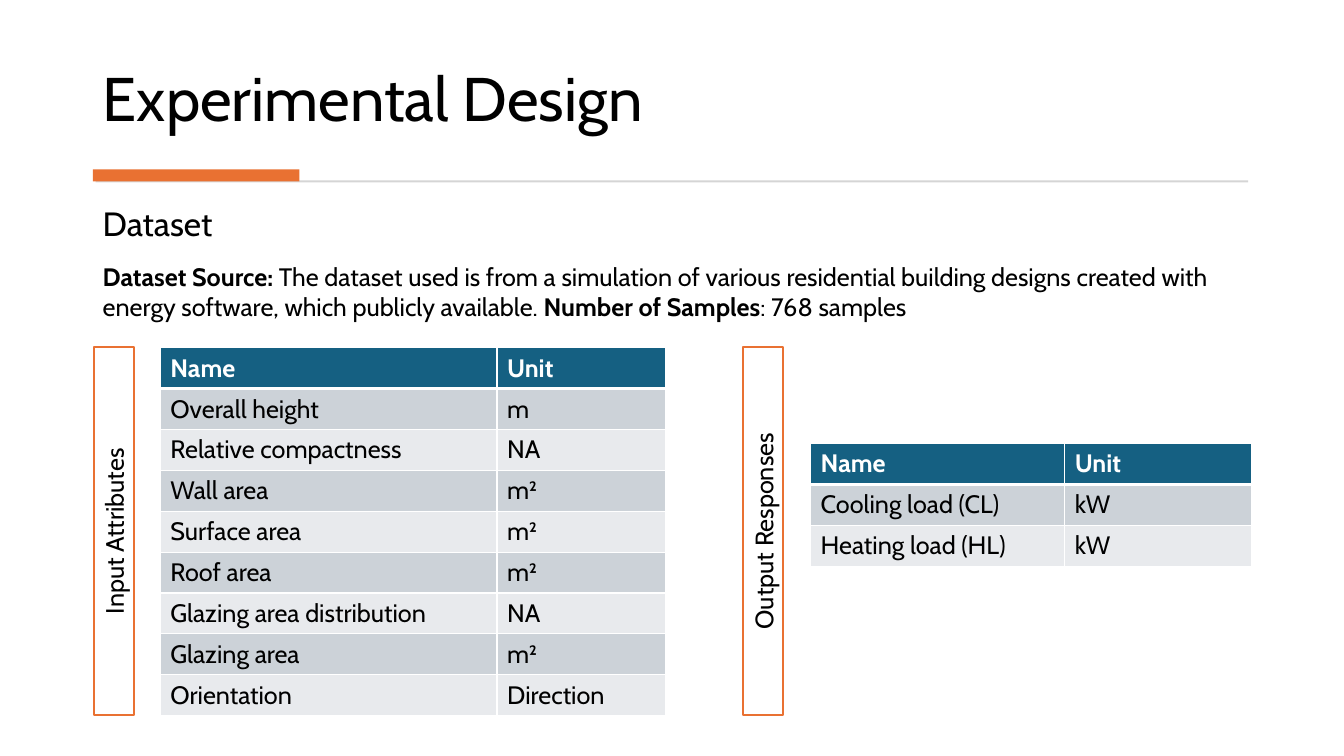
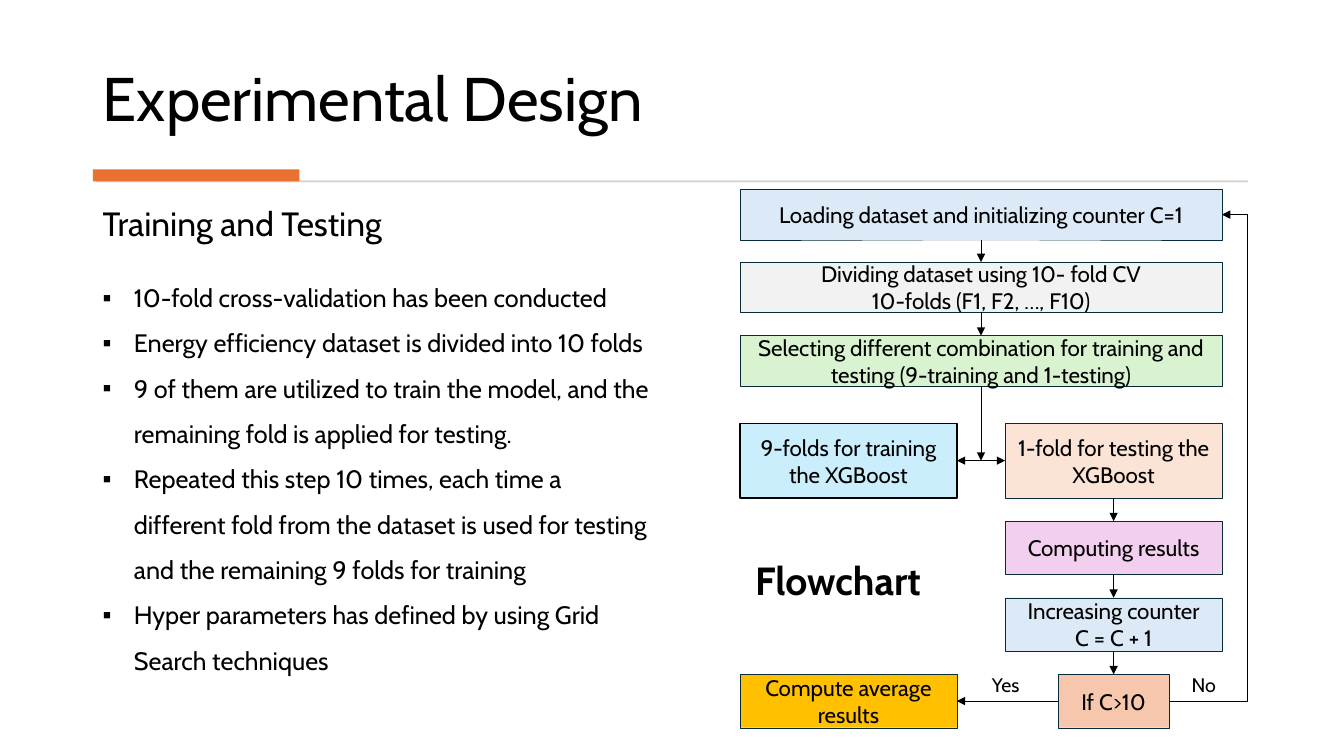
import lxml.etree
import pptx
import pptx.dml.color
import pptx.enum.shapes
import pptx.enum.text
import pptx.oxml.ns
import pptx.util

Inches = pptx.util.Inches
Pt = pptx.util.Pt
qn = pptx.oxml.ns.qn
ALIGN = pptx.enum.text.PP_ALIGN
ANCHOR = pptx.enum.text.MSO_ANCHOR
CONNECTOR = pptx.enum.shapes.MSO_CONNECTOR
TOP, LEFT, BOTTOM, RIGHT = range(4)


class Theme:
    font = "Cabin"
    black, white = "000000", "FFFFFF"
    accent, rule = "E97132", "D5D5D5"
    header, bands = "156082", ("CCD2D8", "E8EAED")
    outline = "092A39"
    title, flowchart, subtitle, body, step, label = 44, 28, 24, 18, 16, 14
    hairline, frame = 0.25, 1.5
    margin, content_width = 0.92, 11.49


TITLE = "Experimental Design"
DATASET = [
    ("Dataset Source: ", True),
    ("The dataset used is from a simulation of various residential building designs "
     "created with energy software, which publicly available. ", False),
    ("Number of Samples", True),
    (": 768 samples", False),
]
INPUTS = [
    ("Name", "Unit"),
    ("Overall height", "m"),
    ("Relative compactness", "NA"),
    ("Wall area", "m²"),
    ("Surface area", "m²"),
    ("Roof area", "m²"),
    ("Glazing area distribution", "NA"),
    ("Glazing area", "m²"),
    ("Orientation", "Direction"),
]
OUTPUTS = [("Name", "Unit"), ("Cooling load (CL)", "kW"), ("Heating load (HL)", "kW")]
VARIABLES = [
    ("Input Attributes", 1.13, INPUTS, 1.59, 3.45, (3.34, 1.67)),
    ("Output Responses", 7.57, OUTPUTS, 8.04, 4.4, (2.52, 1.85)),
]
ROW_HEIGHT = 3.65 / len(INPUTS)

TRAINING = [
    "10-fold cross-validation has been conducted",
    "Energy efficiency dataset is divided into 10 folds",
    "9 of them are utilized to train the model, and the remaining fold is applied for testing.",
    "Repeated this step 10 times, each time a different fold from the dataset is used "
    "for testing and the remaining 9 folds for training",
    "Hyper parameters has defined by using Grid Search techniques",
]

FLOW_LEFT, FLOW_WIDTH, BRANCH_WIDTH, DECISION_WIDTH = 7.34, 4.78, 2.15, 1.1
FLOW_CENTER = FLOW_LEFT + FLOW_WIDTH / 2
FLOW_RIGHT = FLOW_LEFT + FLOW_WIDTH
TRAIN_CENTER = FLOW_LEFT + BRANCH_WIDTH / 2
TEST_CENTER = FLOW_RIGHT - BRANCH_WIDTH / 2
WIDE = (FLOW_CENTER, FLOW_WIDTH)
TRAIN = (TRAIN_CENTER, BRANCH_WIDTH)
TEST = (TEST_CENTER, BRANCH_WIDTH)
DECISION = (TEST_CENTER, DECISION_WIDTH)
STEPS = {
    "load": ("Loading dataset and initializing counter C=1", WIDE, 1.88, 0.5, "DCEAF7"),
    "divide": ("Dividing dataset using 10- fold CV\n10-folds (F1, F2, …, F10)",
               WIDE, 2.6, 0.5, "F2F2F2"),
    "select": ("Selecting different combination for training and testing "
               "(9-training and 1-testing)", WIDE, 3.33, 0.5, "D9F2D0"),
    "train": ("9-folds for training the XGBoost", TRAIN, 4.2, 0.74, "CAEEFB"),
    "test": ("1-fold for testing the XGBoost", TEST, 4.2, 0.74, "FBE3D6"),
    "compute": ("Computing results", TEST, 5.17, 0.53, "F2CFEE"),
    "increase": ("Increasing counter\nC = C + 1", TEST, 5.93, 0.53, "DCEAF7"),
    "decide": ("If C>10", DECISION, 6.69, 0.53, "F6C6AD"),
    "average": ("Compute average results", TRAIN, 6.69, 0.53, "FFC000"),
}
ARROWS = [
    ("load", BOTTOM, "divide", TOP, False),
    ("divide", BOTTOM, "select", TOP, False),
    ("train", RIGHT, "test", LEFT, True),
    ("test", BOTTOM, "compute", TOP, False),
    ("compute", BOTTOM, "increase", TOP, False),
    ("increase", BOTTOM, "decide", TOP, False),
    ("decide", LEFT, "average", RIGHT, False),
]
LOOP_REACH = 0.25
BRANCH_LABELS = [("Yes", 9.74, 0.49), ("No", 11.72, 0.45)]


def rgb(code):
    return pptx.dml.color.RGBColor.from_string(code)


def style_run(run, size, color=Theme.black, bold=False):
    run.font.name = Theme.font
    run.font.size = Pt(size)
    run.font.bold = bold
    run.font.color.rgb = rgb(color)


def fill_text(frame, text, size, color=Theme.black, bold=False, align=ALIGN.LEFT):
    frame.text = text
    for paragraph in frame.paragraphs:
        paragraph.alignment = align
        for run in paragraph.runs:
            style_run(run, size, color, bold)


def add_text(slide, box, text, size, bold=False, wrap=True):
    frame = slide.shapes.add_textbox(*map(Inches, box)).text_frame
    frame.word_wrap = wrap
    fill_text(frame, text, size, bold=bold)
    return frame


def add_box(slide, box, fill, outline=None, weight=Theme.hairline):
    shape = slide.shapes.add_shape(
        pptx.enum.shapes.MSO_SHAPE.RECTANGLE, *map(Inches, box))
    shape.shadow.inherit = False
    shape.fill.solid()
    shape.fill.fore_color.rgb = rgb(fill)
    if outline:
        shape.line.color.rgb = rgb(outline)
        shape.line.width = Pt(weight)
    else:
        shape.line.fill.background()
    return shape


def add_slide(deck, subtitle):
    slide = deck.slides.add_slide(deck.slide_layouts[6])
    title = add_text(slide, (Theme.margin, 0.28, Theme.content_width, 1.11),
                     TITLE, Theme.title)
    title.vertical_anchor = ANCHOR.BOTTOM
    title.paragraphs[0].line_spacing = 0.9
    title.paragraphs[0].space_after = Pt(6)
    add_box(slide, (0.95, 1.79, 11.43, 0.02), Theme.rule)
    add_box(slide, (Theme.margin, 1.68, 2.05, 0.12), Theme.accent)
    add_text(slide, (Theme.margin, 1.96, 4, 0.5), subtitle, Theme.subtitle)
    return slide


def border_cell(cell, weights):
    properties = cell._tc.get_or_add_tcPr()
    for side, weight in zip(("lnL", "lnR", "lnT", "lnB"), weights):
        edge = lxml.etree.SubElement(properties, qn("a:" + side), w=str(Pt(weight)))
        paint = lxml.etree.SubElement(edge, qn("a:solidFill"))
        lxml.etree.SubElement(paint, qn("a:srgbClr"), val=Theme.white)


def add_variables(slide, rows, left, top, widths):
    table = slide.shapes.add_table(
        len(rows), len(widths), Inches(left), Inches(top),
        Inches(sum(widths)), Inches(ROW_HEIGHT * len(rows))).table
    for column, width in zip(table.columns, widths):
        column.width = Inches(width)
    for r, row in enumerate(rows):
        heading = r == 0
        for c, text in enumerate(row):
            cell = table.cell(r, c)
            border_cell(cell, (1, 1, 3 if r == 1 else 1, 3 if heading else 1))
            cell.fill.solid()
            cell.fill.fore_color.rgb = rgb(
                Theme.header if heading else Theme.bands[(r - 1) % 2])
            fill_text(cell.text_frame, text, Theme.body,
                      Theme.white if heading else Theme.black, heading)


def add_side_label(slide, text, center):
    length, thickness, middle = 3.65, 0.4, 5.27
    strip = add_box(
        slide, (center - length / 2, middle - thickness / 2, length, thickness),
        Theme.white, Theme.accent, Theme.frame)
    strip.rotation = 270
    strip.text_frame.vertical_anchor = ANCHOR.TOP
    fill_text(strip.text_frame, text, Theme.body, align=ALIGN.CENTER)


def build_dataset(deck):
    slide = add_slide(deck, "Dataset")
    summary = add_text(slide, (Theme.margin, 2.54, Theme.content_width, 0.71),
                       "", Theme.body).paragraphs[0]
    for text, bold in DATASET:
        run = summary.add_run()
        run.text = text
        style_run(run, Theme.body, bold=bold)
    for label, center, rows, left, top, widths in VARIABLES:
        add_variables(slide, rows, left, top, widths)
        add_side_label(slide, label, center)


def add_bullets(slide):
    frame = add_text(slide, (Theme.margin, 2.6, 5.68, 4.15),
                     "\n".join(TRAINING), Theme.body)
    for paragraph in frame.paragraphs:
        properties = paragraph._p.get_or_add_pPr()
        properties.set("marL", str(Inches(0.31)))
        properties.set("indent", str(Inches(-0.31)))
        lxml.etree.SubElement(properties, qn("a:buFont"), typeface="Arial")
        lxml.etree.SubElement(properties, qn("a:buChar"), char="▪")
        paragraph.line_spacing = 1.5


def add_arrow(slide, start, end, kind=CONNECTOR.STRAIGHT, both_ends=False):
    arrow = slide.shapes.add_connector(kind, *start, *end)
    arrow.line.color.rgb = rgb(Theme.black)
    arrow.line.width = Pt(Theme.hairline)
    stroke = arrow.line._get_or_add_ln()
    for tip in ("headEnd", "tailEnd") if both_ends else ("tailEnd",):
        lxml.etree.SubElement(stroke, qn("a:" + tip), type="triangle")
    lxml.etree.SubElement(arrow._element.spPr, qn("a:effectLst"))
    return arrow


def side_point(shape, side):
    across = {LEFT: 0, RIGHT: 2}.get(side, 1)
    down = {TOP: 0, BOTTOM: 2}.get(side, 1)
    return shape.left + shape.width * across // 2, shape.top + shape.height * down // 2


def add_loop(slide, decide, load):
    start, end = side_point(decide, RIGHT), side_point(load, RIGHT)
    loop = add_arrow(slide, start, end, CONNECTOR.ELBOW)
    span = end[0] - start[0]
    bend = round(100000 * (span + Inches(LOOP_REACH)) / span)
    geometry = loop._element.spPr.find(qn("a:prstGeom"))
    adjustments = geometry.find(qn("a:avLst"))
    if adjustments is None:
        adjustments = lxml.etree.SubElement(geometry, qn("a:avLst"))
    lxml.etree.SubElement(adjustments, qn("a:gd"), name="adj1", fmla=f"val {bend}")


def build_training(deck):
    slide = add_slide(deck, "Training and Testing")
    add_bullets(slide)
    steps = {}
    for key, (text, (center, width), top, height, fill) in STEPS.items():
        emphasis = (Theme.black, 1) if key == "train" else (Theme.outline, Theme.hairline)
        steps[key] = add_box(
            slide, (center - width / 2, top, width, height), fill, *emphasis)
        steps[key].text_frame.vertical_anchor = ANCHOR.MIDDLE
        fill_text(steps[key].text_frame, text, Theme.step, align=ALIGN.CENTER)

    for source, exit_side, target, entry_side, both_ends in ARROWS:
        arrow = add_arrow(slide, side_point(steps[source], exit_side),
                          side_point(steps[target], entry_side), both_ends=both_ends)
        arrow.begin_connect(steps[source], exit_side)
        arrow.end_connect(steps[target], entry_side)

    split_start = side_point(steps["select"], BOTTOM)
    split_end = split_start[0], side_point(steps["train"], RIGHT)[1]
    add_arrow(slide, split_start, split_end).begin_connect(steps["select"], BOTTOM)
    add_loop(slide, steps["decide"], steps["load"])

    for text, left, width in BRANCH_LABELS:
        add_text(slide, (left, 6.63, width, 0.34), text, Theme.label, wrap=False)
    add_text(slide, (7.39, 5.47, 2.15, 0.57), "Flowchart", Theme.flowchart, bold=True)


def main():
    deck = pptx.Presentation()
    deck.slide_width, deck.slide_height = Inches(13.33), Inches(7.5)
    build_dataset(deck)
    build_training(deck)
    deck.save("out.pptx")


if __name__ == "__main__":
    main()
